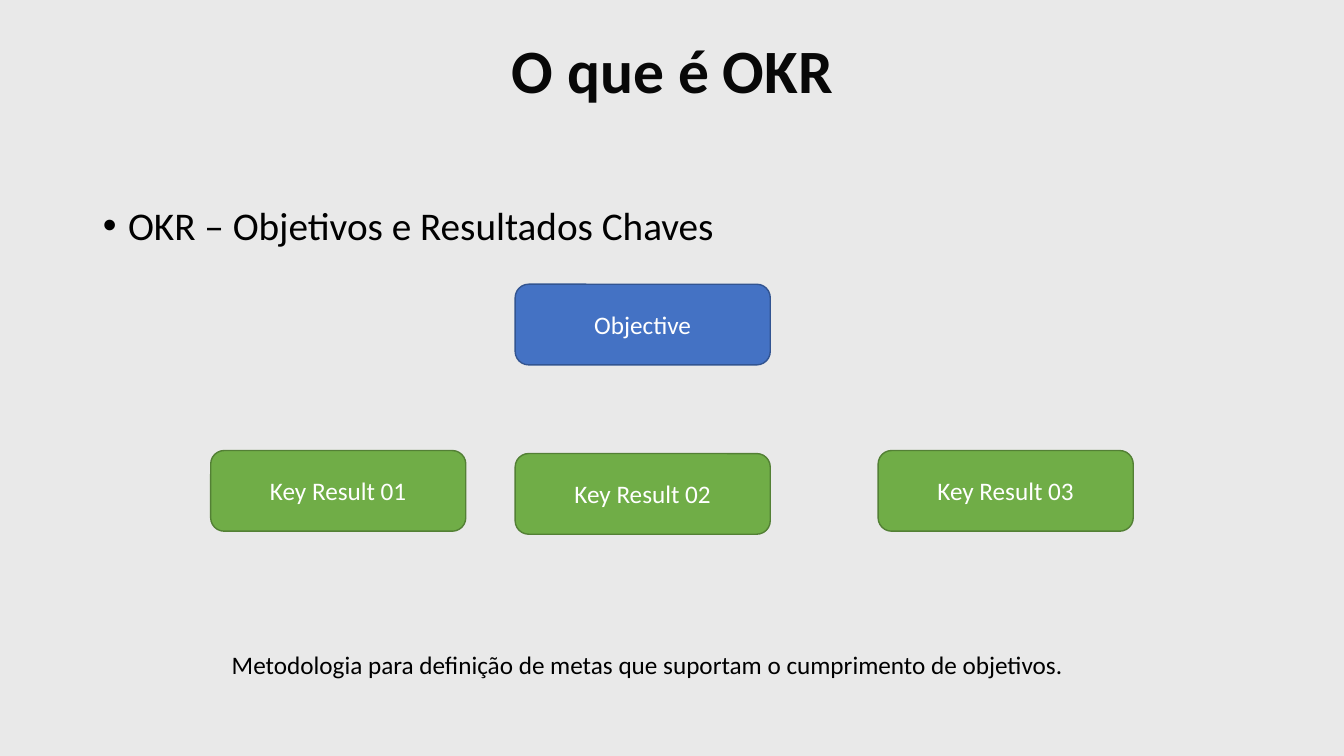
from dataclasses import dataclass

from lxml import etree
from pptx import Presentation
from pptx.dml.color import RGBColor
from pptx.enum.shapes import MSO_SHAPE
from pptx.enum.text import MSO_ANCHOR, MSO_AUTO_SIZE, PP_ALIGN
from pptx.oxml.ns import qn
from pptx.util import Inches, Pt

ROUND = MSO_SHAPE.ROUNDED_RECTANGLE
MID, TOP = MSO_ANCHOR.MIDDLE, MSO_ANCHOR.TOP
LEFT, CENTER = PP_ALIGN.LEFT, PP_ALIGN.CENTER

# Content
TITLE = "O que é OKR"
POINT = "OKR – Objetivos e Resultados Chaves"
NOTE = "Metodologia para definição de metas que suportam o cumprimento de objetivos."
BOXES = [  # text, left, top, colour pair
    ("Objective", 5.11, 2.82, "goal"),
    ("Key Result 01", 2.09, 4.47, "result"),
    ("Key Result 02", 5.11, 4.5, "result"),
    ("Key Result 03", 8.71, 4.47, "result"),
]


@dataclass(frozen=True)
class Theme:
    font: str = "Calibri"
    back: str = "E9E9E9"
    head: str = "080808"
    ink: str = "000000"
    white: str = "FFFFFF"
    goal: tuple = ("4472C4", "325491")
    result: tuple = ("70AD47", "538035")
    big: int = 44
    mid: int = 28
    small: int = 18


THEME = Theme()
BOX_W, BOX_H = 2.53, 0.8
SIDE, WIDE = 0.92, 11.5


def rgb(code):
    return RGBColor.from_string(code)


def place(shape, *area):
    for name, size in zip(("left", "top", "width", "height"), area):
        setattr(shape, name, Inches(size))


def write(shape, text, size, color, align=LEFT, anchor=MID, bold=False, space=1.0):
    frame = shape.text_frame
    frame.text = text
    frame.vertical_anchor = anchor
    para = frame.paragraphs[0]
    looks = {"alignment": align, "line_spacing": space, "space_before": Pt(0)}
    for name, value in looks.items():
        setattr(para, name, value)
    font = para.runs[0].font
    for name, value in {"name": THEME.font, "size": Pt(size), "bold": bold}.items():
        setattr(font, name, value)
    font.color.rgb = rgb(color)
    return para


def bullet(para, indent):
    props = para._p.get_or_add_pPr()
    props.set("marL", str(Inches(indent)))
    props.set("indent", str(-Inches(indent)))
    etree.SubElement(props, qn("a:buFont")).set("typeface", "Arial")
    etree.SubElement(props, qn("a:buChar")).set("char", "•")


def add_box(slide, text, left, top, kind):
    box = slide.shapes.add_shape(
        ROUND, Inches(left), Inches(top), Inches(BOX_W), Inches(BOX_H))
    fill, edge = getattr(THEME, kind)
    box.shadow.inherit = False
    box.fill.solid()
    box.fill.fore_color.rgb = rgb(fill)
    box.line.color.rgb = rgb(edge)
    box.line.width = Pt(1)
    write(box, text, THEME.small, THEME.white, CENTER)


def main():
    deck = Presentation()
    deck.slide_width, deck.slide_height = Inches(13.33), Inches(7.5)
    slide = deck.slides.add_slide(deck.slide_layouts[1])
    slide.background.fill.solid()
    slide.background.fill.fore_color.rgb = rgb(THEME.back)

    # Title and bullet
    title, body = slide.placeholders
    place(title, SIDE, 0, WIDE, 1.45)
    write(title, TITLE, THEME.big, THEME.head, CENTER, bold=True, space=0.9)
    place(body, SIDE, 2, WIDE, 4.76)
    para = write(body, POINT, THEME.mid, THEME.ink, anchor=TOP, space=0.9)
    bullet(para, 0.25)

    # Objective and key results
    for item in BOXES:
        add_box(slide, *item)

    # Closing line
    note = slide.shapes.add_textbox(
        Inches(2.2), Inches(6.39), Inches(8.48), Inches(0.4))
    write(note, NOTE, THEME.small, THEME.ink, anchor=TOP)
    note.text_frame.word_wrap = False
    note.text_frame.auto_size = MSO_AUTO_SIZE.SHAPE_TO_FIT_TEXT

    deck.save("out.pptx")


if __name__ == "__main__":
    main()
